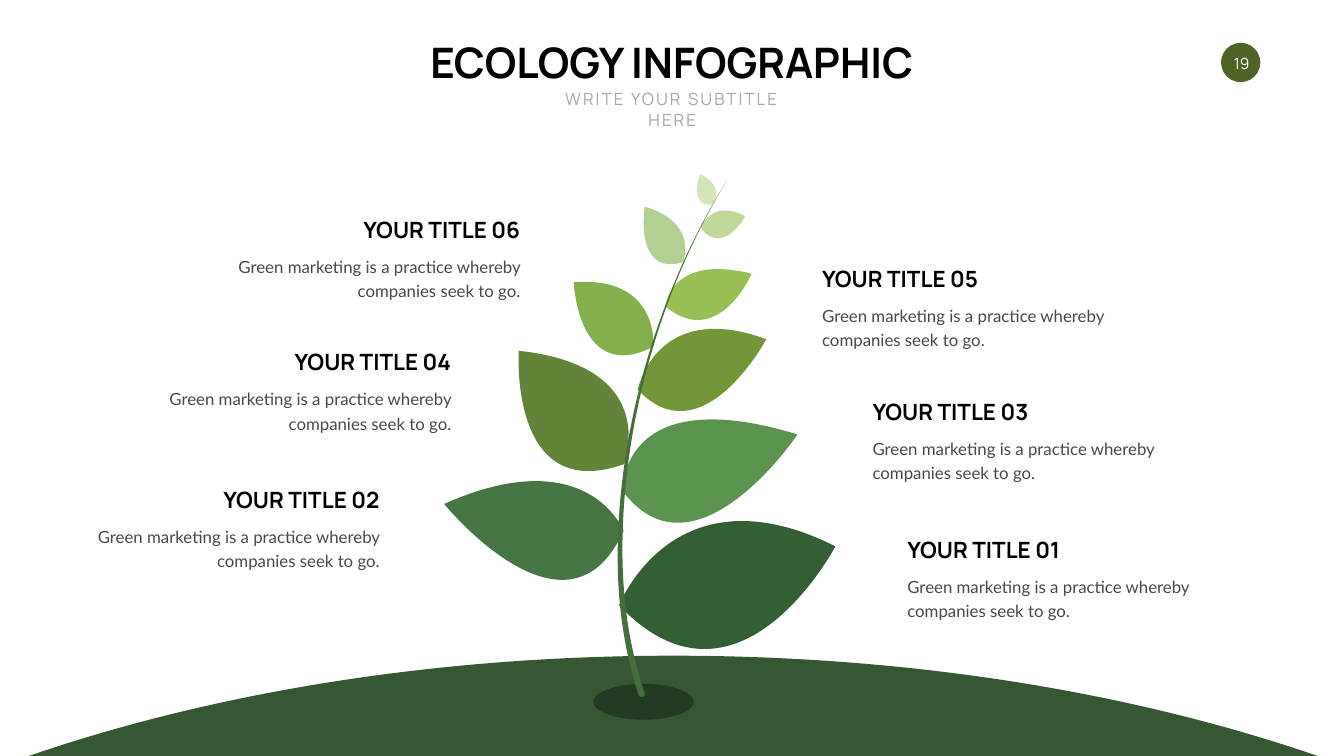
"""Build the ecology infographic slide: a growing plant with six captioned leaves."""
from pptx import Presentation
from pptx.dml.color import RGBColor
from pptx.enum.shapes import MSO_SHAPE as Preset
from pptx.enum.text import MSO_ANCHOR as Anchor, PP_ALIGN as Align
from pptx.oxml.xmlchemy import OxmlElement
from pptx.util import Inches, Pt

HEADING = "ECOLOGY INFOGRAPHIC"
SUBTITLE = "WRITE YOUR SUBTITLE HERE"
PAGE = "19"
BLURB = "Green marketing is a practice whereby companies seek to go."

CAPTIONS = [
    ("YOUR TITLE 01", 17.9, 10.58, "right"),
    ("YOUR TITLE 03", 17.21, 7.84, "right"),
    ("YOUR TITLE 05", 16.21, 5.21, "right"),
    ("YOUR TITLE 02", 7.63, 9.59, "left"),
    ("YOUR TITLE 04", 9.05, 6.86, "left"),
    ("YOUR TITLE 06", 10.42, 4.23, "left"),
]
FRONT_LEAF = {"base": (12.28, 12.01), "tip": (16.57, 10.84),
              "bends": [(13.36, 9.23), (14.65, 14.5)], "fill": "335F35"}
LEAVES = [
    {"base": (12.38, 9.21), "tip": (10.29, 6.96),
     "bends": [(13.14, 7.27), (10.09, 10.02)], "fill": "618439"},
    {"base": (12.35, 9.74), "tip": (15.82, 8.62),
     "bends": [(12.28, 7.54), (13.78, 11.65)], "fill": "5B944E"},
    {"base": (12.96, 6.88), "tip": (11.38, 5.6),
     "bends": [(13.09, 5.47), (11.47, 7.64)], "fill": "81B04C"},
    {"base": (13.55, 5.2), "tip": (12.79, 4.1),
     "bends": [(13.87, 4.42), (12.57, 5.5)], "fill": "B3D093"},
    {"base": (12.65, 7.73), "tip": (15.2, 6.73),
     "bends": [(13.01, 5.93), (13.93, 9.1)], "fill": "739638"},
    {"base": (13.2, 6.08), "tip": (14.91, 5.43),
     "bends": [(13.28, 5.03), (14.25, 6.95)], "fill": "97BF53"},
    {"base": (12.37, 10.53), "tip": (8.81, 10),
     "bends": [(11.66, 8.73), (11.26, 13)], "fill": "467643"},
    {"base": (13.89, 4.51), "tip": (14.78, 4.29),
     "bends": [(14.12, 3.94), (14.34, 5.11)], "fill": "C1D998"},
    {"base": (14.13, 4.06), "tip": (13.89, 3.45),
     "bends": [(14.43, 3.74), (13.63, 4.1)], "fill": "D5E5BA"},
]
HILL = [(0.57, 15), (4.23, 13.74), (8.63, 13.01), (13.36, 13.01),
        (18.09, 13.01), (22.48, 13.74), (26.14, 15)]
STEM = [(14.42, 3.58), (13.05, 5.8), (12.3, 8.5), (12.3, 10.98),
        (12.3, 11.95), (12.43, 12.87), (12.73, 13.78)]
STEM_WIDTH = 0.13

COLUMNS, ROWS = 26.66, 15
CELL = Inches(1)
BADGE_SIZE = 0.78
TITLE_WIDTH, TITLE_HEIGHT = 3.36, 0.64
BLURB_WIDTH, BLURB_HEIGHT, BLURB_DROP = 5.93, 1.03, 0.72

THEME = {
    "hill": "355832", "soil": "233B22", "stem": "446F3B", "badge": "4D6425",
    "heading": {"name": "Manrope", "size": Pt(60), "bold": True, "color": "000000"},
    "subtitle": {"name": "Manrope", "size": Pt(24), "color": "A6A6A6"},
    "page": {"name": "Manrope", "size": Pt(22), "color": "FFFFFF"},
    "title": {"name": "Manrope", "size": Pt(32), "bold": True, "color": "000000"},
    "blurb": {"name": "Lato", "size": Pt(24), "color": "484848"},
}


def apply(target, values):
    for key, value in values.items():
        if key == "color":
            target.color.rgb = RGBColor.from_string(value)
        else:
            setattr(target, key, value)


def on_grid(*cells):
    return [round(cell * CELL) for cell in cells]


def paint(shape, fill=None):
    shape.shadow.inherit = False
    shape.line.fill.background()
    if fill:
        shape.fill.solid()
        shape.fill.fore_color.rgb = RGBColor.from_string(fill)
    else:
        shape.fill.background()
    return shape


def draw_oval(shapes, place, fill=None):
    return paint(shapes.add_shape(Preset.OVAL, *on_grid(*place)), fill)


def draw_curves(shapes, points, fill):
    start, *bends = [on_grid(*point) for point in points]
    builder = shapes.build_freeform(*start)
    builder.add_line_segments(bends, close=True)
    outline = paint(builder.convert_to_shape(), fill)
    segments = outline._element.xpath(".//a:lnTo")
    for first in range(0, len(segments), 3):
        curve = OxmlElement("a:cubicBezTo")
        segments[first].addprevious(curve)
        for segment in segments[first:first + 3]:
            curve.append(segment[0])
            segment.getparent().remove(segment)


def draw_leaf(shapes, base, tip, bends, fill):
    upper, lower = bends
    draw_curves(shapes, [base, base, upper, tip, tip, lower, base], fill)


def draw_stem(shapes):
    top, bottom = STEM[0][1], STEM[-1][1]
    left, right = [
        [(x + side * STEM_WIDTH / 2 * (y - top) / (bottom - top), y) for x, y in STEM]
        for side in (-1, 1)
    ]
    foot = [(x, bottom + STEM_WIDTH / 2) for x, _ in (left[-1], right[-1])]
    draw_curves(shapes, left + foot + right[::-1], THEME["stem"])


def write(frame, text, style, align, wrap=True, anchor=Anchor.TOP, leading=None):
    apply(frame, {"word_wrap": wrap, "vertical_anchor": anchor, "text": text})
    paragraph = frame.paragraphs[0]
    apply(paragraph, {"alignment": align, "line_spacing": leading})
    apply(paragraph.runs[0].font, THEME[style])
    return paragraph.runs[0]


def add_text(shapes, place, *content, **layout):
    return write(shapes.add_textbox(*on_grid(*place)).text_frame, *content, **layout)


def add_caption(shapes, title, edge, top, side):
    on_left = side == "left"
    align = Align.RIGHT if on_left else Align.LEFT
    title_x = edge - TITLE_WIDTH * on_left
    blurb_x = edge - BLURB_WIDTH * on_left
    add_text(shapes, (title_x, top, TITLE_WIDTH, TITLE_HEIGHT), title, "title", align,
             wrap=False, anchor=Anchor.MIDDLE)
    add_text(shapes, (blurb_x, top + BLURB_DROP, BLURB_WIDTH, BLURB_HEIGHT),
             BLURB, "blurb", align, leading=Pt(35))


def add_badge(shapes):
    draw_oval(shapes, (24.22, 0.85, BADGE_SIZE, BADGE_SIZE), THEME["badge"])
    number = draw_oval(shapes, (24.24, 0.87, BADGE_SIZE, BADGE_SIZE)).text_frame
    margins = ("margin_left", "margin_top", "margin_right", "margin_bottom")
    apply(number, dict.fromkeys(margins, Inches(0.05)))
    write(number, PAGE, "page", Align.CENTER, anchor=Anchor.MIDDLE)


def main():
    deck = Presentation()
    apply(deck, dict(zip(("slide_width", "slide_height"), on_grid(COLUMNS, ROWS))))
    shapes = deck.slides.add_slide(deck.slide_layouts[6]).shapes

    add_badge(shapes)
    draw_leaf(shapes, **FRONT_LEAF)
    draw_curves(shapes, HILL, THEME["hill"])
    draw_oval(shapes, (11.77, 13.57, 1.99, 0.71), THEME["soil"])
    for leaf in LEAVES:
        draw_leaf(shapes, **leaf)
    draw_stem(shapes)

    add_text(shapes, (8.2, 0.67, 10.25, 1.11), HEADING, "heading", Align.CENTER, wrap=False)
    subtitle = add_text(shapes, (10.62, 1.72, 5.43, 0.5), SUBTITLE, "subtitle", Align.CENTER)
    subtitle.font._element.set("spc", "300")
    for caption in CAPTIONS:
        add_caption(shapes, *caption)
    deck.save("out.pptx")


if __name__ == "__main__":
    main()
